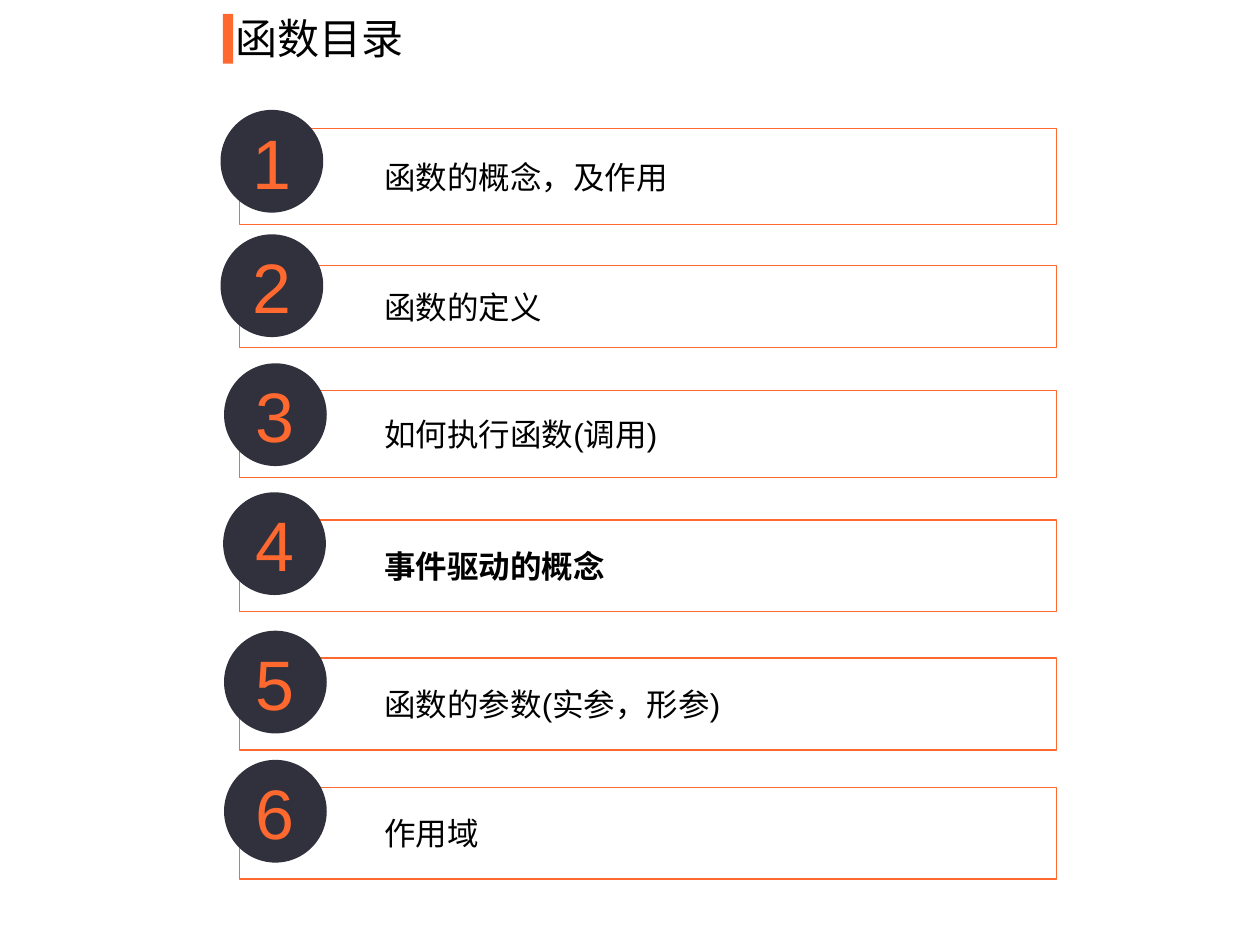
from dataclasses import dataclass

from lxml import etree
from pptx import Presentation
from pptx import util as u
from pptx.dml.color import RGBColor
from pptx.enum import shapes, text
from pptx.oxml import ns

TITLE = "函数目录"
# label, frame top, frame height, badge left, badge top, bold
ENTRIES = [
    ("函数的概念，及作用", 73.5, 54.8, 126, 62.8, False),
    ("函数的定义", 151.7, 46.9, 126, 133.9, False),
    ("如何执行函数(调用)", 223.3, 49.7, 128, 207.6, False),
    ("事件驱动的概念", 297.1, 52.3, 127.5, 281.3, True),
    ("函数的参数(实参，形参)", 376.1, 52.5, 128, 360.4, False),
    ("作用域", 449.9, 52.5, 128, 434.2, False),
]
FRAME_LEFT, FRAME_WIDTH = 136.9, 466.9
BADGE_SIZE = 58.7
LABEL_INDENT = 36


@dataclass(frozen=True)
class Theme:
    accent: RGBColor = RGBColor(0xFF, 0x68, 0x2F)
    dark: RGBColor = RGBColor(0x30, 0x31, 0x3C)
    white: RGBColor = RGBColor(0xFF, 0xFF, 0xFF)
    black: RGBColor = RGBColor(0, 0, 0)
    latin: str = "Arial"
    chinese: str = "Noto Sans CJK SC"
    title_size: int = 24
    label_size: int = 18
    number_size: int = 40


THEME = Theme()


def add_filled(slide, kind, box, fill):
    shape = slide.shapes.add_shape(kind, *map(u.Pt, box))
    shape.shadow.inherit = False
    shape.fill.solid()
    shape.fill.fore_color.rgb = fill
    shape.line.fill.background()
    return shape


def set_alpha(shape, percent):
    color = shape.fill._xPr.find(".//" + ns.qn("a:srgbClr"))
    etree.SubElement(color, ns.qn("a:alpha"), val=str(percent * 1000))


def write(shape, content, size, color, latin, align, margins, bold=False):
    """Fill a shape with one styled line; margins are left, top, right, bottom."""
    frame = shape.text_frame
    frame.text = content
    frame.word_wrap = True
    frame.vertical_anchor = text.MSO_ANCHOR.MIDDLE
    (frame.margin_left, frame.margin_top,
     frame.margin_right, frame.margin_bottom) = map(u.Pt, margins)
    paragraph = frame.paragraphs[0]
    paragraph.alignment = align
    run = paragraph.runs[0]
    run.font.name = latin
    run.font.size = u.Pt(size)
    run.font.bold = bold
    run.font.color.rgb = color
    east_asian = etree.SubElement(run.font._element, ns.qn("a:ea"))
    east_asian.set("typeface", THEME.chinese)
    return paragraph


def add_title(slide):
    add_filled(slide, shapes.MSO_SHAPE.RECTANGLE, (127.4, 8, 5.8, 28.4), THEME.accent)
    box = slide.shapes.add_textbox(*map(u.Pt, (127.4, 3.6, 170, 36)))
    write(box, TITLE, THEME.title_size, THEME.black, THEME.chinese,
          text.PP_ALIGN.LEFT, (7.2, 3.6, 7.2, 3.6))
    box.text_frame.vertical_anchor = text.MSO_ANCHOR.TOP


def add_entry(slide, number, entry):
    label, top, height, badge_left, badge_top, bold = entry
    frame = add_filled(slide, shapes.MSO_SHAPE.RECTANGLE,
                       (FRAME_LEFT, top, FRAME_WIDTH, height), THEME.white)
    set_alpha(frame, 40)
    frame.line.color.rgb = THEME.accent
    frame.line.width = u.Pt(0.75)
    paragraph = write(frame, label, THEME.label_size, THEME.black, THEME.latin,
                      text.PP_ALIGN.LEFT, (46.8, 5.8, 5.8, 5.8), bold)
    paragraph.level = 1
    properties = paragraph._p.get_or_add_pPr()
    properties.set("marL", str(u.Pt(LABEL_INDENT)))
    properties.set("indent", "0")

    badge = add_filled(slide, shapes.MSO_SHAPE.OVAL,
                       (badge_left, badge_top, BADGE_SIZE, BADGE_SIZE), THEME.dark)
    write(badge, str(number), THEME.number_size, THEME.accent, THEME.latin,
          text.PP_ALIGN.CENTER, (7.2, 3.6, 7.2, 3.6))


def main():
    presentation = Presentation()
    presentation.slide_width, presentation.slide_height = u.Pt(720), u.Pt(540)
    slide = presentation.slides.add_slide(presentation.slide_layouts[6])
    add_title(slide)
    for number, entry in enumerate(ENTRIES, 1):
        add_entry(slide, number, entry)
    presentation.save("out.pptx")


if __name__ == "__main__":
    main()
